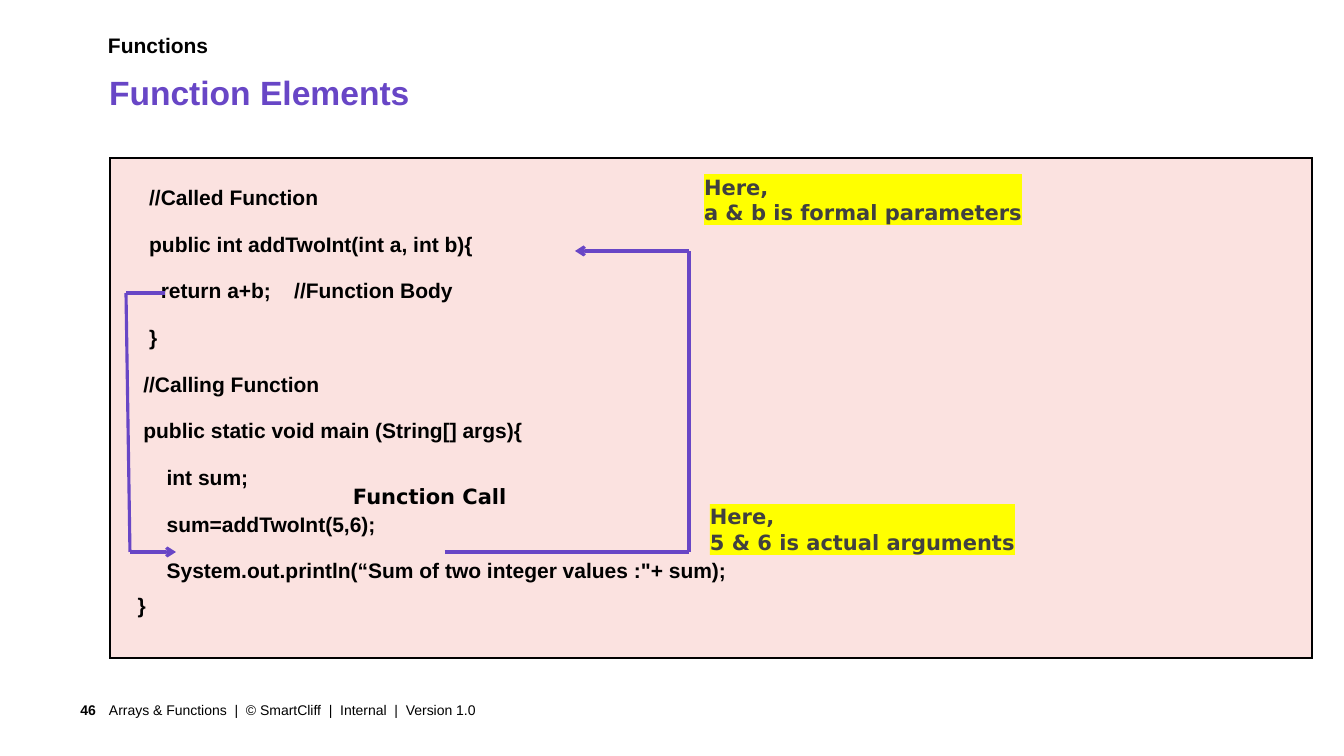
from lxml import etree
from pptx import Presentation
from pptx.dml.color import RGBColor
from pptx.enum.shapes import MSO_CONNECTOR, MSO_SHAPE
from pptx.enum.text import MSO_ANCHOR, MSO_AUTO_SIZE, PP_ALIGN
from pptx.oxml.ns import qn
from pptx.util import Pt

LINE, RECT = MSO_CONNECTOR.STRAIGHT, MSO_SHAPE.RECTANGLE
TOP, MID = MSO_ANCHOR.TOP, MSO_ANCHOR.MIDDLE
LEFT, RIGHT = PP_ALIGN.LEFT, PP_ALIGN.RIGHT
NO_FIT = MSO_AUTO_SIZE.NONE

BLACK = RGBColor(0x00, 0x00, 0x00)
GREY = RGBColor(0x40, 0x40, 0x40)
PURPLE = RGBColor(0x68, 0x46, 0xC6)
PINK = RGBColor(0xFB, 0xE2, 0xE0)
YELLOW = RGBColor(0xFF, 0xFF, 0x00)
SANS, NOTE = "Arial", "DejaVu Sans"

SCALE = 914400 / 100.8

CODE = [
    "     //Called Function",
    "     public int addTwoInt(int a, int b){",
    "       return a+b;    //Function Body",
    "     }",
    "    //Calling Function",
    "    public static void main (String[] args){",
    "        int sum;",
    "        sum=addTwoInt(5,6);",
    "        System.out.println(“Sum of two integer values :\"+ sum);",
    "   }",
]


def px(n):
    return round(n * SCALE)


def place(shape, box):
    shape.left, shape.top, shape.width, shape.height = map(px, box)


def write(frame, lines, size, color=BLACK, bold=True, font=SANS,
          align=LEFT, anchor=TOP, wrap=True):
    frame.auto_size = NO_FIT
    frame.word_wrap = wrap
    frame.vertical_anchor = anchor
    frame.margin_left = frame.margin_right = 0
    frame.margin_top = frame.margin_bottom = 0
    frame.text = "\n".join(lines)
    for para in frame.paragraphs:
        para.alignment = align
        style = para.font
        style.name, style.size, style.bold = font, Pt(size), bold
        style.color.rgb = color


def label(slide, box, text, size, **style):
    shape = slide.shapes.add_textbox(*map(px, box))
    write(shape.text_frame, [text], size, **style)


def header(slide, box):
    x, y, w, h = box
    label(slide, (x, y, w, 40), "Functions", 15)
    title = slide.shapes.title
    place(title, (x + 1, y + 39, w, h - 39))
    write(title.text_frame, ["Function Elements"], 24, PURPLE)


def footer(slide, box):
    x, y, w, h = box
    label(slide, (x, y, 54, h), "46", 10, align=RIGHT, anchor=MID)
    label(slide, (x + 67, y, w - 67, h),
          "Arrays & Functions  |  © SmartCliff  |  Internal  |  Version 1.0",
          10, bold=False, anchor=MID)


def frame_cell(cell):
    props = cell._tc.get_or_add_tcPr()
    for i, side in enumerate(("lnL", "lnR", "lnT", "lnB")):
        edge = etree.Element(qn("a:" + side), w=str(Pt(1)))
        fill = etree.SubElement(edge, qn("a:solidFill"))
        etree.SubElement(fill, qn("a:srgbClr"), val=str(BLACK))
        props.insert(i, edge)


def code_panel(slide, box):
    table = slide.shapes.add_table(1, 1, *map(px, box)).table
    table.first_row = table.horz_banding = False
    cell = table.cell(0, 0)
    cell.fill.solid()
    cell.fill.fore_color.rgb = PINK
    frame_cell(cell)
    cell.text = "\n".join(CODE)
    for para in cell.text_frame.paragraphs:
        para.line_spacing = 2.0
        style = para.font
        style.name, style.size, style.bold = SANS, Pt(15), True
        style.color.rgb = BLACK
    para.line_spacing = 1.5  # closing brace sits tighter


def note(slide, box, text):
    shape = slide.shapes.add_shape(RECT, *map(px, box))
    shape.shadow.inherit = False
    shape.fill.solid()
    shape.fill.fore_color.rgb = YELLOW
    shape.line.fill.background()
    write(shape.text_frame, ["Here,", text], 15, GREY, font=NOTE, wrap=False)


def route(slide, points):
    """Join the points with lines; the last one carries the arrowhead."""
    for start, end in zip(points, points[1:]):
        line = slide.shapes.add_connector(LINE, *map(px, start + end))
        line.line.color.rgb = PURPLE
        line.line.width = Pt(2.25)
        etree.SubElement(line._element.spPr, qn("a:effectLst"))
    etree.SubElement(line.line._get_or_add_ln(), qn("a:tailEnd"), type="arrow")


def call_flow(slide, box):
    x, y, w, h = box
    note(slide, (x + 594, y + 16, 318, 51), "a & b is formal parameters")
    note(slide, (x + 600, y + 346, 305, 51), "5 & 6 is actual arguments")
    label(slide, (x + 243, y + 326, 154, 25), "Function Call", 15,
          font=NOTE, wrap=False)
    # Arguments go up to the parameters, the result comes back down
    low = y + 394
    route(slide, [(x + 335, low), (x + 579, low),
                  (x + 579, y + 93), (x + 465, y + 93)])
    route(slide, [(x + 55, y + 135), (x + 16, y + 135),
                  (x + 20, low), (x + 66, low)])


def main():
    deck = Presentation()
    deck.slide_width, deck.slide_height = px(1344), px(756)
    slide = deck.slides.add_slide(deck.slide_layouts[5])
    panel = (110, 158, 1202, 500)
    header(slide, (108, 33, 1204, 81))
    footer(slide, (42, 694, 1010, 31))
    code_panel(slide, panel)
    call_flow(slide, panel)
    deck.save("out.pptx")


if __name__ == "__main__":
    main()
